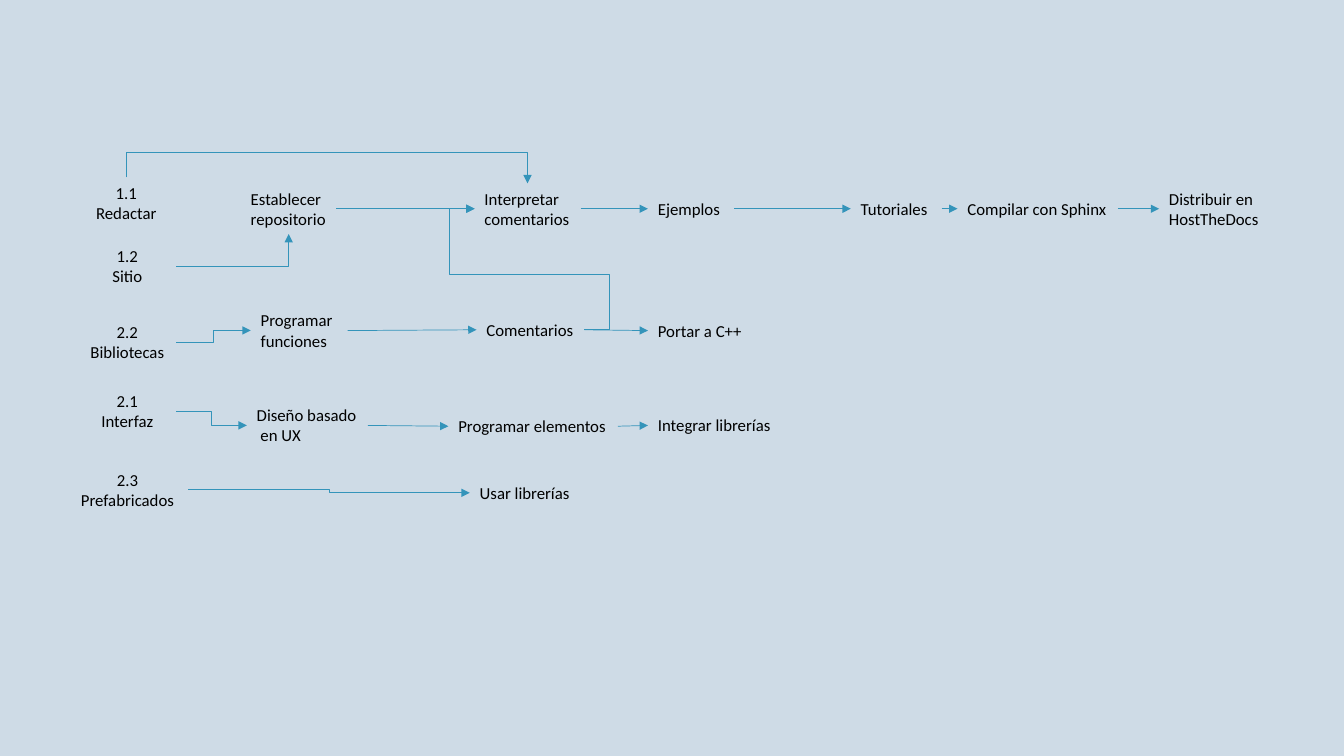
from dataclasses import dataclass

from lxml import etree
from pptx import Presentation
from pptx import util as u
from pptx.dml.color import RGBColor
from pptx.enum import shapes, text
from pptx.oxml import ns

GROUND = RGBColor(0xCE, 0xDB, 0xE6)
BLUE = RGBColor(0x34, 0x94, 0xBA)
BLACK = RGBColor(0, 0, 0)

FONT = {"size": u.Pt(12), "name": "Calibri"}
FRAME = {"auto_size": text.MSO_AUTO_SIZE.SHAPE_TO_FIT_TEXT}
TOP, LEFT, BOTTOM, RIGHT = range(4)
ROW = 5.26  # middle of the main row, cm
HEIGHTS = {1: 0.77, 2: 1.28}  # box height by number of lines, cm


@dataclass
class Step:
    key: str
    lines: list[str]
    left: float
    mid: float
    width: float
    wrap: bool = False
    align: text.PP_ALIGN | None = None


@dataclass
class Link:
    start: str
    end: str
    sides: tuple[int, int] = (RIGHT, LEFT)
    bend: str = ""
    bends: tuple[float, ...] = ()
    rise: float = 0  # height of a detour above the start, cm


def task(key: str, name: str, left: float, mid: float, width: float) -> Step:
    return Step(key, [key, name], left, mid, width, True, text.PP_ALIGN.CENTER)


STEPS = [
    Step("parse", ["Interpretar", "comentarios"], 11.96, ROW, 2.67),
    Step("repo", ["Establecer", "repositorio"], 6.07, ROW, 2.41),
    Step("design", ["Diseño basado", " en UX"], 6.22, 10.72, 3.05),
    Step("code", ["Programar", "funciones"], 6.32, 8.33, 2.44),
    Step("use", ["Usar librerías"], 11.84, 12.42, 2.79),
    Step("samples", ["Ejemplos"], 16.33, ROW, 2.18),
    Step("guides", ["Tutoriales"], 21.44, ROW, 2.29, True),
    Step("build", ["Compilar con Sphinx"], 24.13, ROW, 4.04),
    Step("share", ["Distribuir en", "HostTheDocs"], 29.21, ROW, 2.87),
    Step("parts", ["Programar elementos"], 11.3, 10.74, 4.27),
    Step("merge", ["Integrar librerías"], 16.33, 10.72, 3.38),
    Step("notes", ["Comentarios"], 12.01, 8.31, 2.72),
    Step("port", ["Portar a C++"], 16.33, 8.33, 2.64),
    task("1.1", "Redactar", 1.93, 5.11, 2.51),
    task("1.2", "Sitio", 1.98, 6.71, 2.46),
    task("2.2", "Bibliotecas", 1.98, 8.63, 2.46),
    task("2.1", "Interfaz", 1.98, 10.36, 2.46),
    task("2.3", "Prefabricados", 1.68, 12.34, 3.07),
]

LINKS = [
    Link("code", "notes"),
    Link("notes", "parse", bend="bentConnector5", bends=(-0.23, 0.46, 1.23)),
    Link("repo", "parse"),
    Link("notes", "port"),
    Link("parse", "samples"),
    Link("samples", "guides"),
    Link("guides", "build"),
    Link("build", "share"),
    Link("design", "parts"),
    Link("parts", "merge"),
    Link("1.2", "repo", (RIGHT, BOTTOM), "bentConnector2"),
    Link("1.1", "parse", (TOP, TOP), "bentConnector3", rise=0.64),
    Link("2.2", "code", bend="bentConnector3", bends=(0.5,)),
    Link("2.1", "design", bend="bentConnector3", bends=(0.5,)),
    Link("2.3", "use", bend="bentConnector3", bends=(0.5,)),
]


def add_step(slide, step: Step):
    high = HEIGHTS[len(step.lines)]
    box = slide.shapes.add_textbox(u.Cm(step.left), u.Cm(step.mid - high / 2),
                                   u.Cm(step.width), u.Cm(high))
    frame = box.text_frame
    for name, value in (FRAME | {"word_wrap": step.wrap}).items():
        setattr(frame, name, value)
    frame.text = "\n".join(step.lines)
    for para in frame.paragraphs:
        para.alignment = step.align
        font = para.runs[0].font
        for name, value in FONT.items():
            setattr(font, name, value)
        font.color.rgb = BLACK
    return box


def spot(box, side: int) -> tuple[int, int]:
    """Middle of one side of a box."""
    across, down = {TOP: (1, 0), LEFT: (0, 1), BOTTOM: (1, 2), RIGHT: (2, 1)}[side]
    return box.left + box.width * across // 2, box.top + box.height * down // 2


def turn(line) -> None:
    """Stand the elbow upright so that it leaves and arrives vertically."""
    wide, high = line.width, line.height
    line.left += (wide - high) // 2
    line.top += (high - wide) // 2
    line.width, line.height = high, wide
    frame = line._element.spPr.find(ns.qn("a:xfrm"))
    frame.set("rot", str(270 * 60000))
    frame.set("flipH", "1")


def add_link(slide, boxes: dict, link: Link) -> None:
    first, last = boxes[link.start], boxes[link.end]
    kind = shapes.MSO_CONNECTOR.ELBOW if link.bend else shapes.MSO_CONNECTOR.STRAIGHT
    line = slide.shapes.add_connector(kind, *spot(first, link.sides[0]),
                                      *spot(last, link.sides[1]))
    props = line._element.spPr
    bends = link.bends
    if link.bend:
        if link.rise:
            turn(line)
            bends = (-u.Cm(link.rise) / line.width,)
        shape = props.find(ns.qn("a:prstGeom"))
        shape.set("prst", link.bend)
        guides = shape.find(ns.qn("a:avLst"))
        for num, bend in enumerate(bends, 1):
            etree.SubElement(guides, ns.qn("a:gd"), name=f"adj{num}",
                             fmla=f"val {round(bend * 100000)}")
    else:
        line.begin_connect(first, link.sides[0])
        line.end_connect(last, link.sides[1])
    line.line.width = u.Pt(0.5)
    line.line.color.rgb = BLUE
    etree.SubElement(props.find(ns.qn("a:ln")), ns.qn("a:tailEnd"), type="triangle")
    etree.SubElement(props, ns.qn("a:effectLst"))


def main() -> None:
    deck = Presentation()
    deck.slide_width, deck.slide_height = u.Cm(33.87), u.Cm(19.05)
    slide = deck.slides.add_slide(deck.slide_layouts[6])
    fill = slide.background.fill
    fill.solid()
    fill.fore_color.rgb = GROUND

    # Steps of the plan
    boxes = {step.key: add_step(slide, step) for step in STEPS}

    # Arrows between the steps
    for link in LINKS:
        add_link(slide, boxes, link)

    deck.save("out.pptx")


if __name__ == "__main__":
    main()
